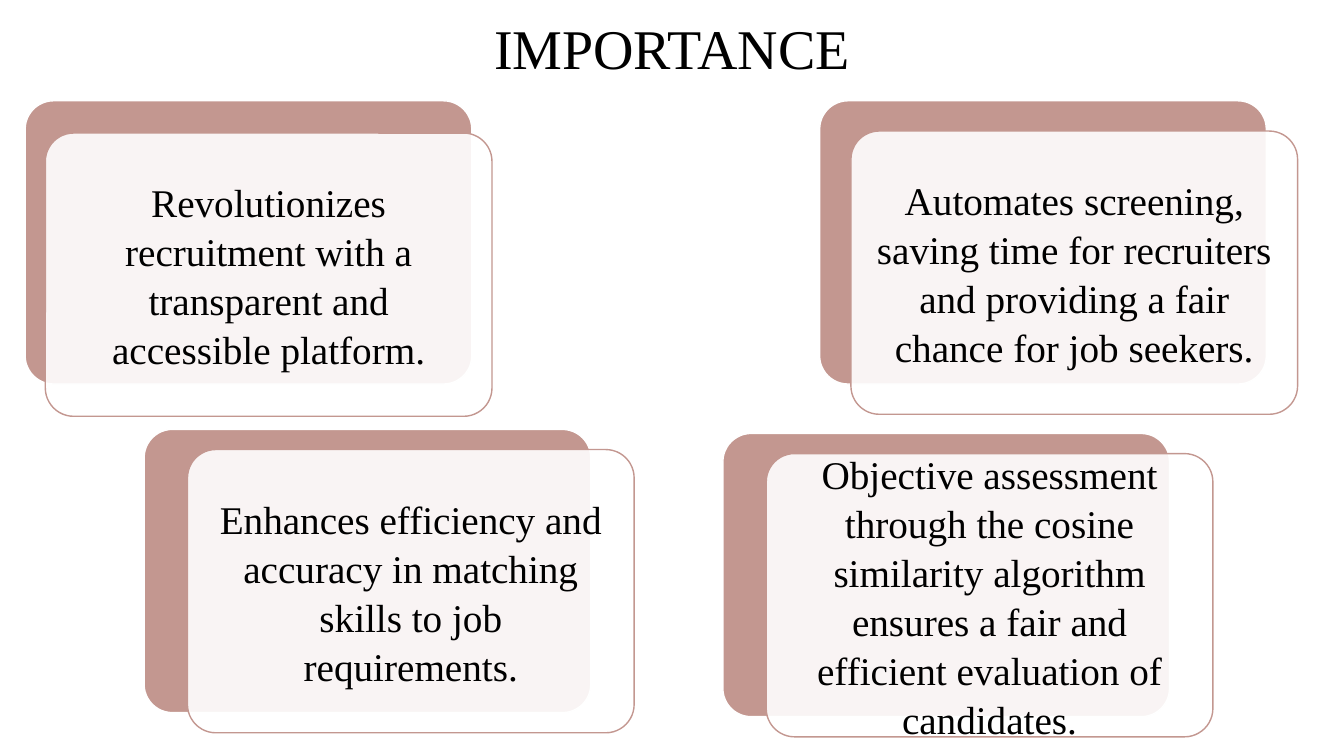
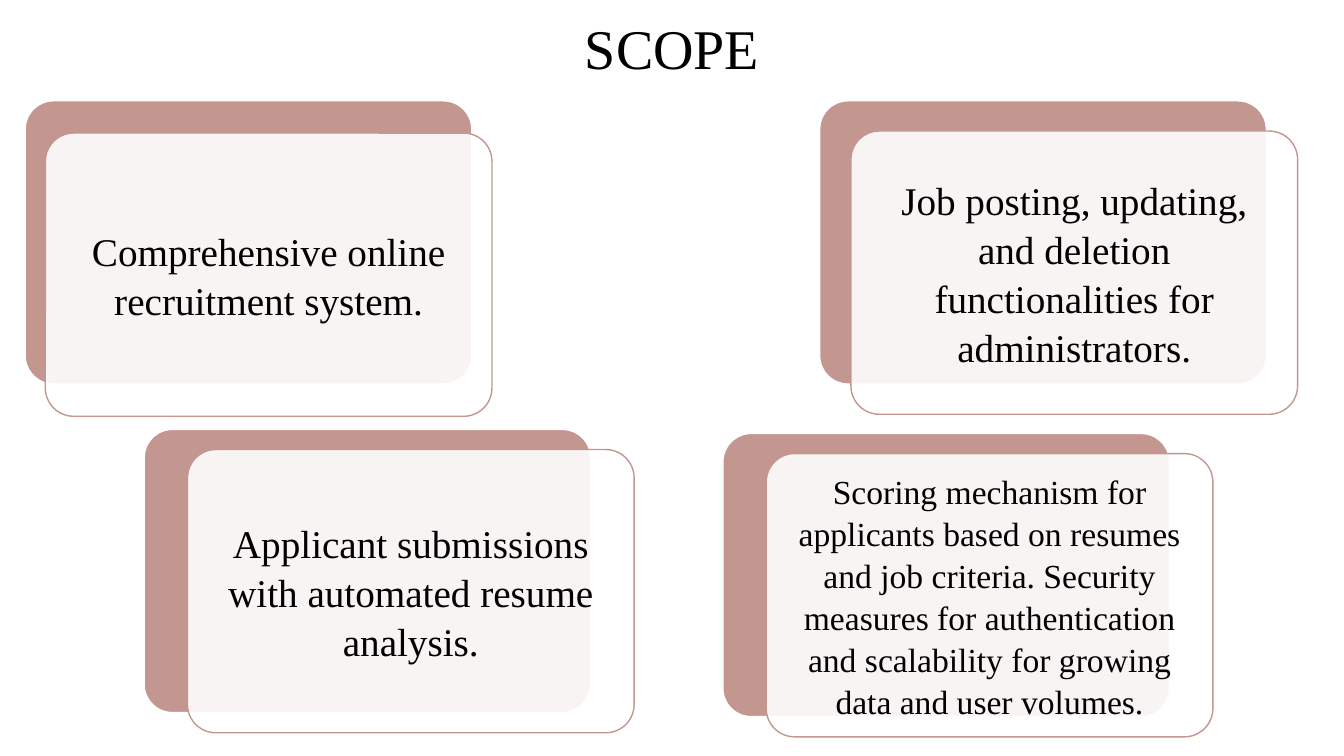
from pptx import Presentation
from pptx.dml.color import RGBColor
from pptx.enum.shapes import MSO_SHAPE as SHAPE
from pptx.enum.text import MSO_ANCHOR as ANCHOR, PP_ALIGN as ALIGN
from pptx.oxml.ns import qn
from pptx.util import Inches, Pt
from lxml.etree import SubElement

ROSE = RGBColor(0xC3, 0x97, 0x90)
WHITE = RGBColor(0xFF, 0xFF, 0xFF)
BLACK = RGBColor(0, 0, 0)
FONT = "Times New Roman"

TITLE_LAYOUT = 5
TITLE_BOX = (1.04, -0.23, 11.25, 1.4)
CARD_SIZE = (4.43, 2.81)
CORNER = 0.1
INSET = 0.12

# Left and top of each card, then the offset of its front panel
CARD_PLACES = [
    ((0.25, 1), (0.2, 0.32)),
    ((8.13, 1), (0.31, 0.3)),
    ((1.43, 4.26), (0.43, 0.2)),
    ((7.17, 4.3), (0.43, 0.2)),
]

# Title, then the text and font size of each card
SLIDES = [
    ("IMPORTANCE", [
        ("Revolutionizes recruitment with a transparent and accessible platform.", 28),
        ("Automates screening, saving time for recruiters and providing a fair "
         "chance for job seekers.", 28),
        ("Enhances efficiency and accuracy in matching skills to job requirements.", 28),
        ("Objective assessment through the cosine similarity algorithm ensures a "
         "fair and efficient evaluation of candidates.", 28),
    ]),
    ("SCOPE", [
        ("Comprehensive online recruitment system.", 28),
        ("Job posting, updating, and deletion functionalities for administrators.", 28),
        ("Applicant submissions with automated resume analysis.", 28),
        ("Scoring mechanism for applicants based on resumes and job criteria. "
         "Security measures for authentication and scalability for growing data "
         "and user volumes.", 24),
    ]),
]


def write_text(shape, text, size, inset=0.1, spacing=1.0):
    frame = shape.text_frame
    frame.word_wrap = True
    frame.vertical_anchor = ANCHOR.MIDDLE
    frame.margin_left = frame.margin_right = Inches(inset)
    frame.margin_top = frame.margin_bottom = Inches(inset)
    paragraph = frame.paragraphs[0]
    paragraph.alignment = ALIGN.CENTER
    paragraph.line_spacing = spacing
    run = paragraph.add_run()
    run.text = text
    run.font.name = FONT
    run.font.size = Pt(size)
    run.font.color.rgb = BLACK


def add_panel(slide, left, top, fill, line, opacity=100):
    panel = slide.shapes.add_shape(
        SHAPE.ROUNDED_RECTANGLE, *map(Inches, (left, top, *CARD_SIZE)))
    panel.adjustments[0] = CORNER
    panel.shadow.inherit = False
    panel.fill.solid()
    panel.fill.fore_color.rgb = fill
    panel.line.color.rgb = line
    panel.line.width = Pt(1)
    if opacity < 100:
        color = panel.fill._xPr.find(qn("a:solidFill"))[0]
        SubElement(color, qn("a:alpha"), val=str(opacity * 1000))
    return panel


def add_card(slide, place, offset, text, size):
    """Draw a rose panel with a translucent text panel shifted over it."""
    left, top = place
    shift_x, shift_y = offset
    add_panel(slide, left, top, ROSE, WHITE)
    front = add_panel(slide, left + shift_x, top + shift_y, WHITE, ROSE, opacity=90)
    write_text(front, text, size, inset=INSET, spacing=1.04)


def add_title(slide, text):
    title = slide.shapes.title
    title.left, title.top, title.width, title.height = map(Inches, TITLE_BOX)
    write_text(title, text, 40)


def add_card_slide(deck, title, cards):
    slide = deck.slides.add_slide(deck.slide_layouts[TITLE_LAYOUT])
    add_title(slide, title)
    for (place, offset), (text, size) in zip(CARD_PLACES, cards):
        add_card(slide, place, offset, text, size)


def main():
    deck = Presentation()
    deck.slide_width, deck.slide_height = Inches(13.33), Inches(7.5)
    for title, cards in SLIDES:
        add_card_slide(deck, title, cards)
    deck.save("out.pptx")


if __name__ == "__main__":
    main()
